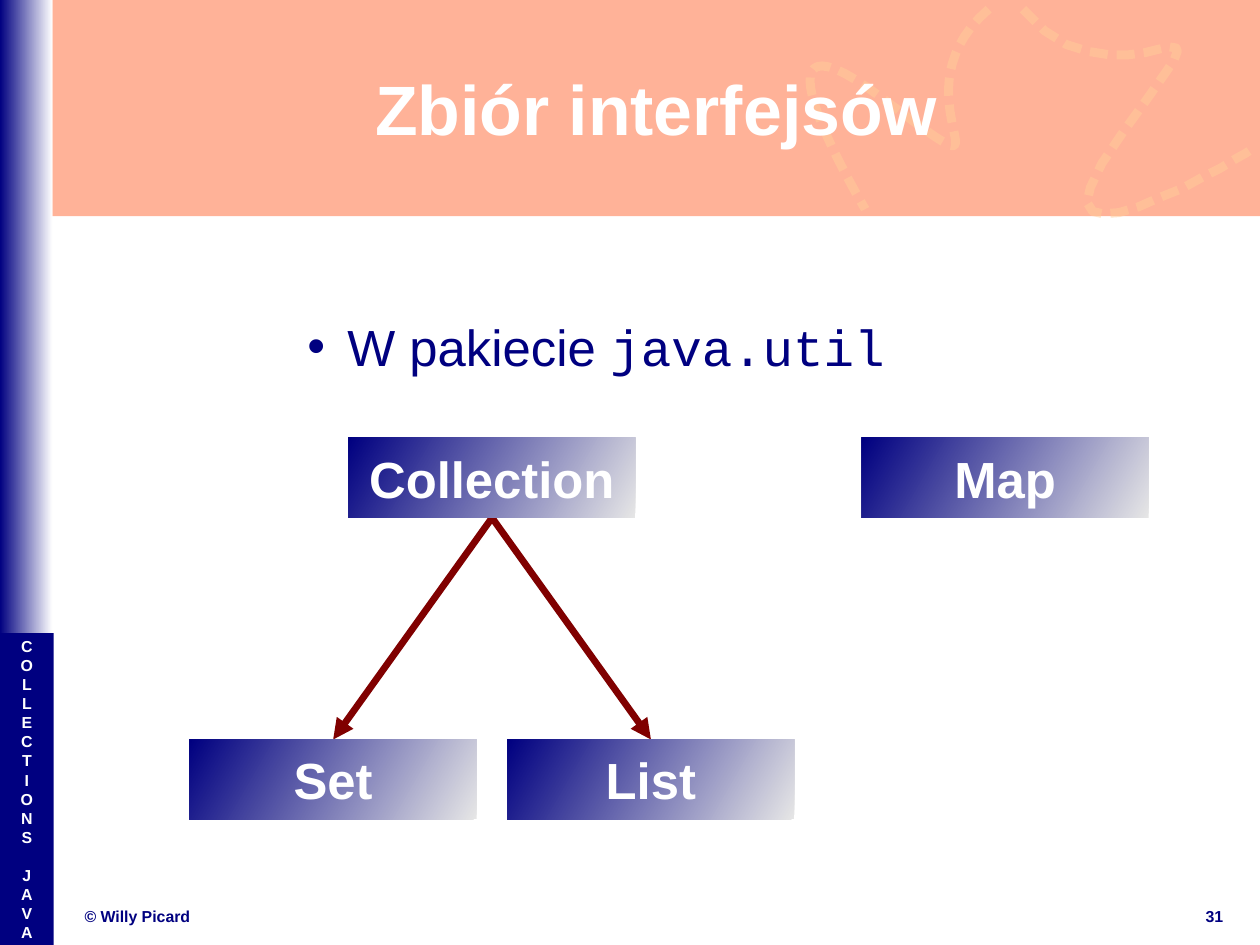
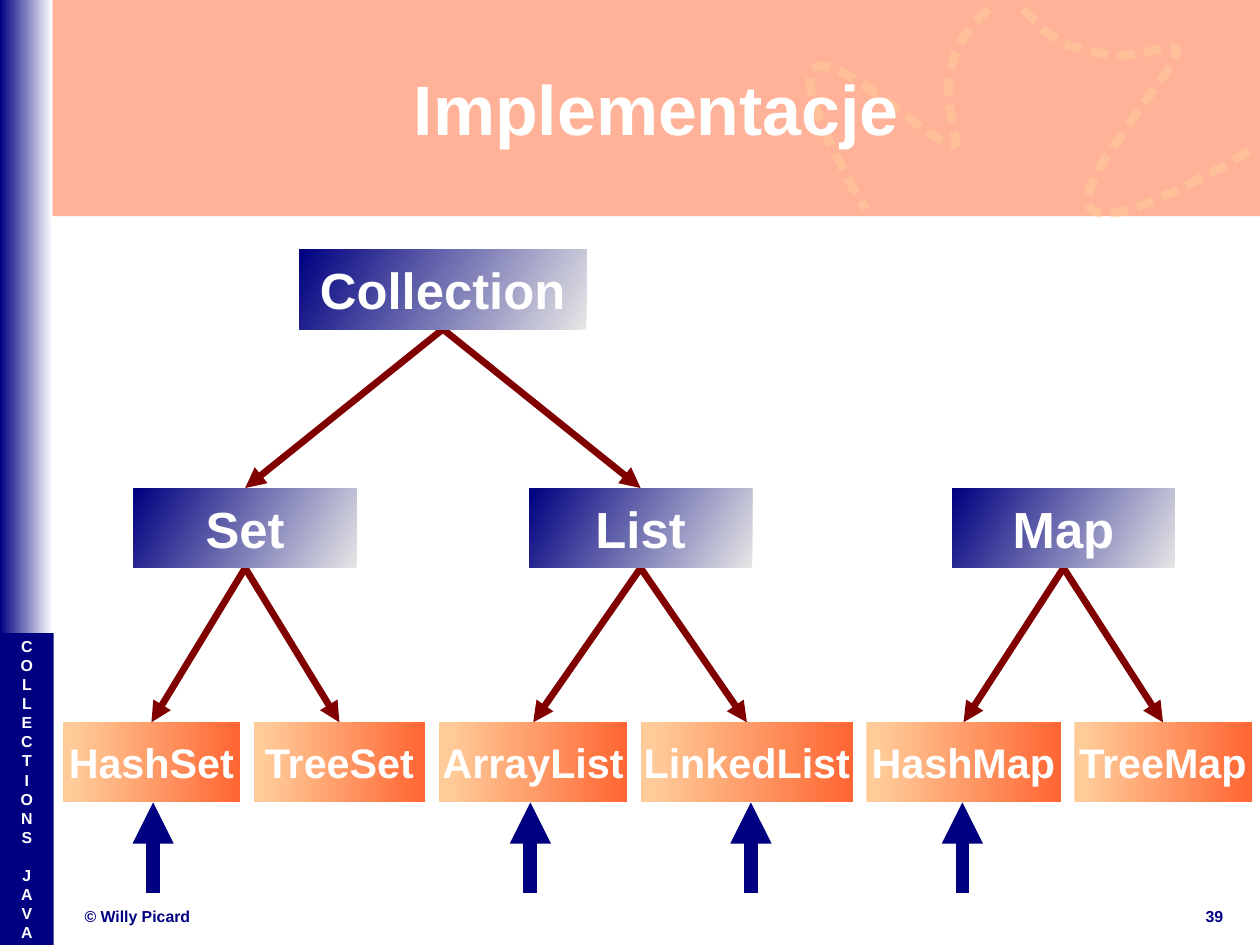
from dataclasses import dataclass

from lxml import etree
from pptx import Presentation
from pptx import util as u
from pptx.dml import color
from pptx.enum import shapes, text
from pptx.oxml import ns

PX = 9144
NAVY, WHITE, MAROON = "000080", "FFFFFF", "800000"
ORANGE, PEACH, GREY = "FF6633", "FFCC99", "E6E6E6"
SANS, MONO = "Arial", "Courier New"
LEFT, MID = text.PP_ALIGN.LEFT, text.PP_ALIGN.CENTER
WIDE, HIGH = u.Cm(28), u.Cm(21)
TALL, GAP = 70, 12

LOOP = [(865, 8), (774, 86), (905, 185), (772, 86),
        (639, -14), (757, 183), (757, 183)]
WAVE = [(895, 8), (914, 27), (933, 39), (952, 45), (971, 48), (987, 48),
        (1002, 46), (1014, 43), (1023, 41), (1029, 42), (1030, 45),
        (1027, 53), (1018, 66), (1004, 86), (983, 115), (964, 143),
        (954, 164), (951, 177), (956, 185), (965, 187), (979, 186),
        (996, 181), (1014, 173), (1034, 165), (1052, 155), (1068, 147),
        (1081, 139), (1090, 134), (1093, 132), (1094, 132)]


@dataclass(frozen=True)
class Grad:
    start: str
    end: str
    angle: int
    first: float = 0.0


@dataclass(frozen=True)
class Font:
    size: int
    tint: str
    bold: bool = True
    face: str = SANS


@dataclass(frozen=True)
class Area:
    x: int
    y: int
    w: int
    h: int

    def emu(self) -> list:
        return [v * PX for v in (self.x, self.y, self.w, self.h)]


@dataclass(frozen=True)
class Node:
    name: str
    area: Area
    leaf: bool = False


FADE = Grad(NAVY, WHITE, 0)
TYPE = Grad(GREY, NAVY, 150)
LEAF = Grad(PEACH, ORANGE, 0, 0.05)
HEAD, BIG, MED = Font(44, WHITE), Font(32, WHITE), Font(26, WHITE)
FOOT, SIDE = Font(10, NAVY), Font(10, WHITE)
BODY, CODE = Font(32, NAVY, False), Font(32, NAVY, False, MONO)


def rgb(code: str):
    return color.RGBColor.from_string(code)


def sub(root, tag: str, **attrs: str):
    return etree.SubElement(root, ns.qn(tag), attrs)


def fade(root) -> None:
    for tint in root.iter(ns.qn("a:srgbClr")):
        sub(tint, "a:alpha", val="50000")


def write(para, words: str, font: Font) -> None:
    run = para.add_run()
    run.text = words
    run.font.size = u.Pt(font.size)
    run.font.name = font.face
    run.font.bold = font.bold
    run.font.color.rgb = rgb(font.tint)


def frame(shape, anchor=text.MSO_ANCHOR.MIDDLE):
    tf = shape.text_frame
    tf.word_wrap = True
    tf.margin_left = tf.margin_right = tf.margin_top = tf.margin_bottom = 0
    tf.vertical_anchor = anchor
    return tf


def label(slide, area: Area, words: str, font: Font, align) -> None:
    para = frame(slide.shapes.add_textbox(*area.emu())).paragraphs[0]
    para.alignment = align
    write(para, words, font)


def block(slide, area: Area, fill):
    shape = slide.shapes.add_shape(shapes.MSO_SHAPE.RECTANGLE, *area.emu())
    shape.shadow.inherit = False
    shape.line.fill.background()
    if isinstance(fill, Grad):
        shape.fill.gradient()
        shape.fill.gradient_angle = fill.angle
        stops = shape.fill.gradient_stops
        for stop, code, pos in zip(stops, (fill.start, fill.end), (fill.first, 1.0)):
            stop.color.rgb = rgb(code)
            stop.position = pos
    else:
        shape.fill.solid()
        shape.fill.fore_color.rgb = rgb(fill)
    return shape


def curve(knots: list, steps: int = 30) -> list:
    spots = [knots[0]]
    for i in range(0, len(knots) - 1, 3):
        a, b, c, d = knots[i:i + 4]
        for n in range(1, steps + 1):
            t = n / steps
            s = 1 - t
            spots.append(tuple(s**3 * a[k] + 3 * s * s * t * b[k]
                               + 3 * s * t * t * c[k] + t**3 * d[k] for k in (0, 1)))
    return spots


def trail(slide, spots: list) -> None:
    spots = [(round(x * PX), round(y * PX)) for x, y in spots]
    pen = slide.shapes.build_freeform(*spots[0], scale=1.0)
    pen.add_line_segments(spots[1:], close=False)
    shape = pen.convert_to_shape()
    shape.shadow.inherit = False
    shape.fill.background()
    shape.line.width = u.Pt(5.67)
    shape.line.color.rgb = rgb(PEACH)
    line = shape.element.spPr.find(ns.qn("a:ln"))
    fade(line)
    sub(sub(line, "a:custDash"), "a:ds", d="200000", sp="100000")


def arrow(slide, x1: int, y1: int, x2: int, y2: int, tint: str, width: float):
    link = slide.shapes.add_connector(
        shapes.MSO_CONNECTOR.STRAIGHT, x1 * PX, y1 * PX, x2 * PX, y2 * PX)
    link.line.color.rgb = rgb(tint)
    link.line.width = u.Pt(width)
    props = link.element.spPr
    sub(props.find(ns.qn("a:ln")), "a:tailEnd", type="triangle")
    sub(props, "a:effectLst")
    return link


def tree(slide, nodes: list, links: dict) -> None:
    made = {}
    for node in nodes:
        shape = block(slide, node.area, LEAF if node.leaf else TYPE)
        para = frame(shape).paragraphs[0]
        para.alignment = MID
        write(para, node.name, MED if node.leaf else BIG)
        made[node.name] = shape
    base = made[nodes[0].name].element
    for top, kids in links.items():
        for kid in kids:
            link = arrow(slide, 0, 0, 0, 0, MAROON, 4.31)
            link.begin_connect(made[top], 2)
            link.end_connect(made[kid], 0)
            base.addprevious(link.element)


def side(slide) -> None:
    tf = frame(block(slide, Area(0, 554, 47, 273), NAVY))
    para = tf.paragraphs[0]
    for word in ("COLLECTIONS", "JAVA"):
        for i, char in enumerate(word):
            if para.runs:
                para = tf.add_paragraph()
                if i == 0:
                    para.space_before = u.Pt(12)
            para.alignment = MID
            para.line_spacing = u.Pt(12)
            write(para, char, SIDE)


def start(deck, title: str, page: int):
    slide = deck.slides.add_slide(deck.slide_layouts[6])
    fade(block(slide, Area(0, 0, 1103, 189), ORANGE).element.spPr)
    block(slide, Area(0, 0, 46, 572), FADE)
    side(slide)
    trail(slide, curve(LOOP))
    trail(slide, WAVE)
    label(slide, Area(74, 792, 447, 19), "© Willy Picard", FOOT, LEFT)
    label(slide, Area(1046, 792, 33, 19), str(page), FOOT, MID)
    label(slide, Area(47, 25, 1055, 138), title, HEAD, MID)
    return slide


def faces(deck) -> None:
    slide = start(deck, "Zbiór interfejsów", 31)
    box = slide.shapes.add_textbox(*Area(257, 276, 580, 62).emu())
    para = frame(box, text.MSO_ANCHOR.TOP).paragraphs[0]
    props = para._p.get_or_add_pPr()
    props.set("marL", str(47 * PX))
    props.set("indent", str(-35 * PX))
    sub(props, "a:buFont", typeface=SANS)
    sub(props, "a:buChar", char="•")
    write(para, "W pakiecie ", BODY)
    write(para, "java.util", CODE)
    spots = {"Collection": (305, 383), "Map": (754, 383),
             "Set": (166, 647), "List": (444, 647)}
    nodes = [Node(name, Area(x, y, 251, TALL)) for name, (x, y) in spots.items()]
    tree(slide, nodes, {"Collection": ("Set", "List")})


def kinds(deck) -> None:
    slide = start(deck, "Implementacje", 39)
    nodes = [Node("Collection", Area(262, 218, 251, TALL))]
    for name, x in (("Set", 117), ("List", 463), ("Map", 833)):
        nodes.append(Node(name, Area(x, 427, 195, TALL)))
    x = 55
    for name, w in (("HashSet", 155), ("TreeSet", 150), ("ArrayList", 165),
                    ("LinkedList", 185), ("HashMap", 170), ("TreeMap", 155)):
        nodes.append(Node(name, Area(x, 632, w, TALL), True))
        x += w + GAP
    tree(slide, nodes, {"Collection": ("Set", "List"),
                        "Set": ("HashSet", "TreeSet"),
                        "List": ("ArrayList", "LinkedList"),
                        "Map": ("HashMap", "TreeMap")})
    for x in (134, 464, 657, 842):
        arrow(slide, x, 781, x, 702, NAVY, 8.65)


def main() -> None:
    deck = Presentation()
    deck.slide_width, deck.slide_height = WIDE, HIGH
    faces(deck)
    kinds(deck)
    deck.save("out.pptx")


if __name__ == "__main__":
    main()
